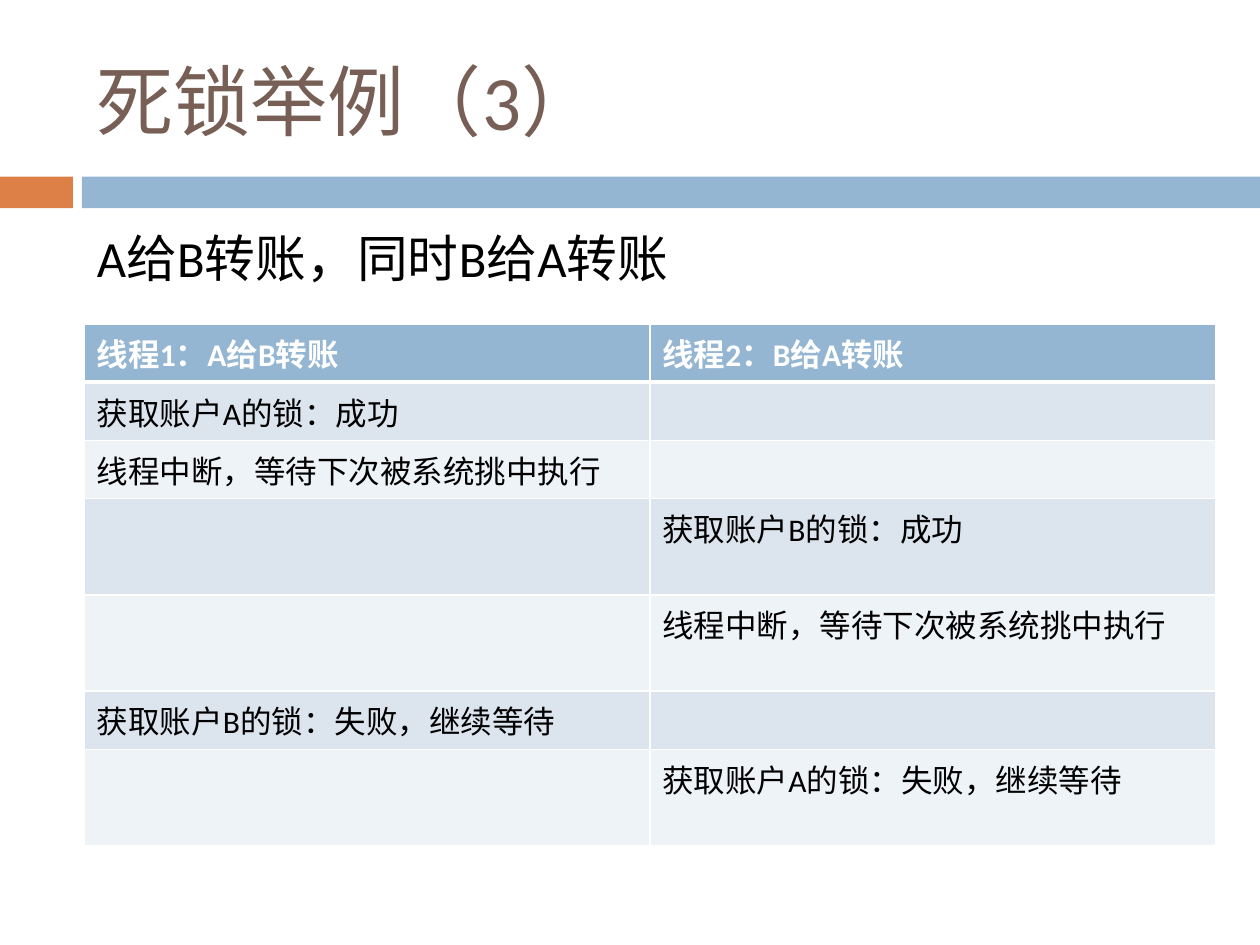
from dataclasses import dataclass

from lxml.etree import SubElement
from pptx import Presentation
from pptx.dml.color import RGBColor
from pptx.enum.shapes import MSO_SHAPE
from pptx.enum.text import MSO_ANCHOR, MSO_AUTO_SIZE, PP_ALIGN
from pptx.oxml.ns import qn
from pptx.util import Cm, Pt

COLORS = {
    "accent": "DD8047", "blue": "94B6D2", "title": "775F55", "text": "000000",
    "white": "FFFFFF", "dark_band": "DCE5EE", "light_band": "EEF3F7",
}


@dataclass
class Bar:
    left: float
    width: float
    color: str


@dataclass
class Row:
    left: str
    right: str
    height: float


SHORT, TALL = 1.17, 1.94
BARS = [Bar(0, 1.47, "accent"), Bar(1.65, 23.75, "blue")]
ROWS = [
    Row("线程1：A给B转账", "线程2：B给A转账", SHORT),
    Row("获取账户A的锁：成功", "", SHORT),
    Row("线程中断，等待下次被系统挑中执行", "", SHORT),
    Row("", "获取账户B的锁：成功", TALL),
    Row("", "线程中断，等待下次被系统挑中执行", TALL),
    Row("获取账户B的锁：失败，继续等待", "", SHORT),
    Row("", "获取账户A的锁：失败，继续等待", TALL),
]


def rgb(name: str) -> RGBColor:
    return RGBColor.from_string(COLORS[name])


def write(tf, text: str, *, size: float, color: str = "text", bold: bool = False) -> None:
    p = tf.paragraphs[0]
    p.alignment = PP_ALIGN.LEFT
    p.space_before = Pt(0)
    r = p.add_run()
    r.text = text
    r.font.name = "Calibri"
    r.font.size = Pt(size)
    r.font.bold = bold
    r.font.color.rgb = rgb(color)


def place(sp, left: float, top: float, width: float, height: float) -> None:
    sp.left, sp.top, sp.width, sp.height = Cm(left), Cm(top), Cm(width), Cm(height)


def draw_bar(s, bar: Bar) -> None:
    sp = s.shapes.add_shape(MSO_SHAPE.RECTANGLE, Cm(bar.left), Cm(3.56), Cm(bar.width), Cm(0.64))
    sp.shadow.inherit = False
    sp.fill.solid()
    sp.fill.fore_color.rgb = rgb(bar.color)
    sp.line.fill.background()


def set_borders(cell, **widths: float) -> None:
    tc_pr = cell._tc.get_or_add_tcPr()
    for i, (side, width) in enumerate(widths.items()):
        ln = tc_pr.makeelement(qn(f"a:ln{side}"), {"w": str(Pt(width))})
        fill = SubElement(ln, qn("a:solidFill"))
        SubElement(fill, qn("a:srgbClr"), val=COLORS["white"])
        tc_pr.insert(i, ln)


def draw_table(s, rows: list[Row]) -> None:
    height = sum(row.height for row in rows)
    table = s.shapes.add_table(len(rows), 2, Cm(1.7), Cm(6.53), Cm(22.8), Cm(height)).table
    for i, row in enumerate(rows):
        table.rows[i].height = Cm(row.height)
        head = i == 0
        band = "blue" if head else ("dark_band" if i % 2 else "light_band")
        for j, text in enumerate((row.left, row.right)):
            cell = table.cell(i, j)
            cell.fill.solid()
            cell.fill.fore_color.rgb = rgb(band)
            set_borders(cell, L=1, R=1, T=3 if i == 1 else 1, B=3 if head else 1)
            if text:
                write(cell.text_frame, text, size=18, color="white" if head else "text", bold=head)


def main() -> None:
    """Build the deadlock example slide."""
    prs = Presentation()
    prs.slide_width, prs.slide_height = Cm(25.4), Cm(19.05)
    s = prs.slides.add_slide(prs.slide_layouts[1])
    for bar in BARS:
        draw_bar(s, bar)

    title, body = s.shapes.title, s.placeholders[1]
    place(title, 1.7, 0.64, 22.66, 2.74)
    place(body, 1.7, 4.45, 22.66, 12.5)
    for sp in (title, body):
        sp.text_frame.auto_size = MSO_AUTO_SIZE.NONE
    title.text_frame.vertical_anchor = MSO_ANCHOR.MIDDLE
    write(title.text_frame, "死锁举例（3）", size=44, color="title")
    p_pr = body.text_frame.paragraphs[0]._p.get_or_add_pPr()
    p_pr.set("marL", str(Cm(0.89)))
    p_pr.set("indent", str(-Cm(0.89)))
    SubElement(p_pr, qn("a:buNone"))
    write(body.text_frame, "A给B转账，同时B给A转账", size=29)

    draw_table(s, ROWS)
    prs.save("out.pptx")


if __name__ == "__main__":
    main()
